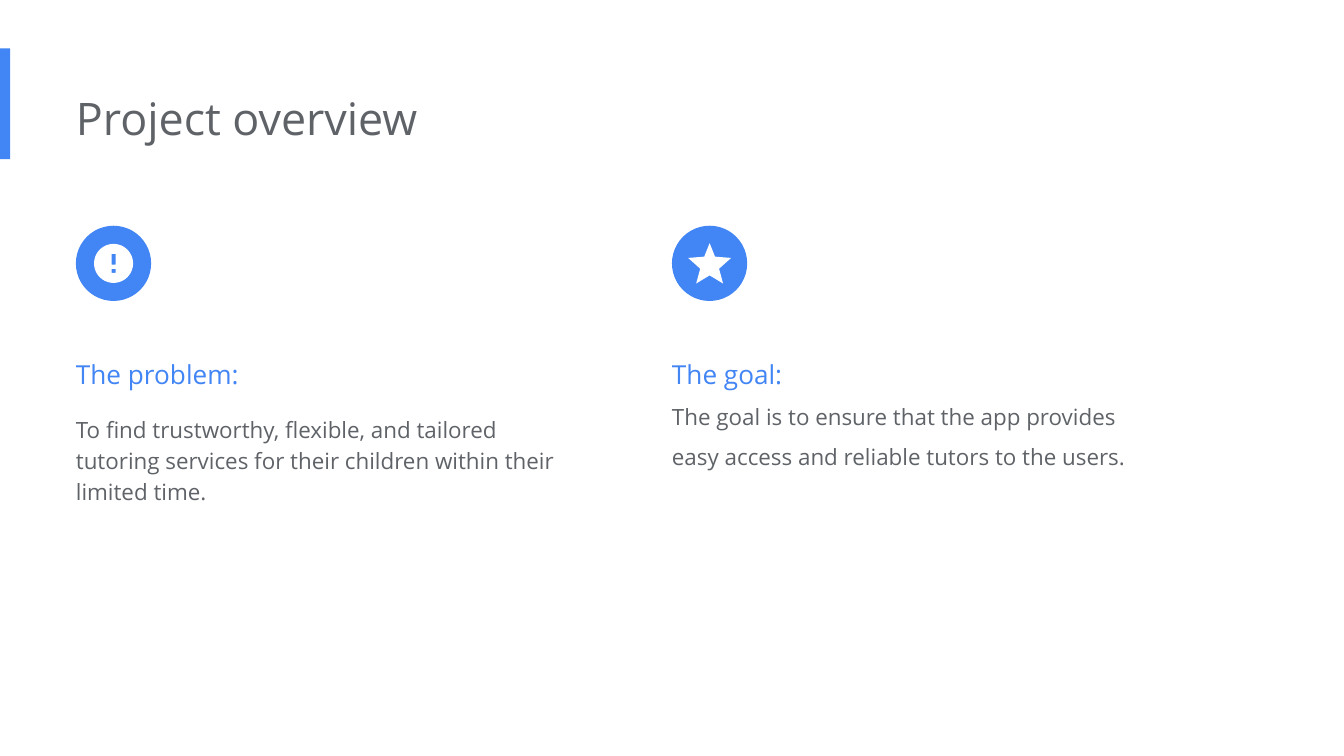
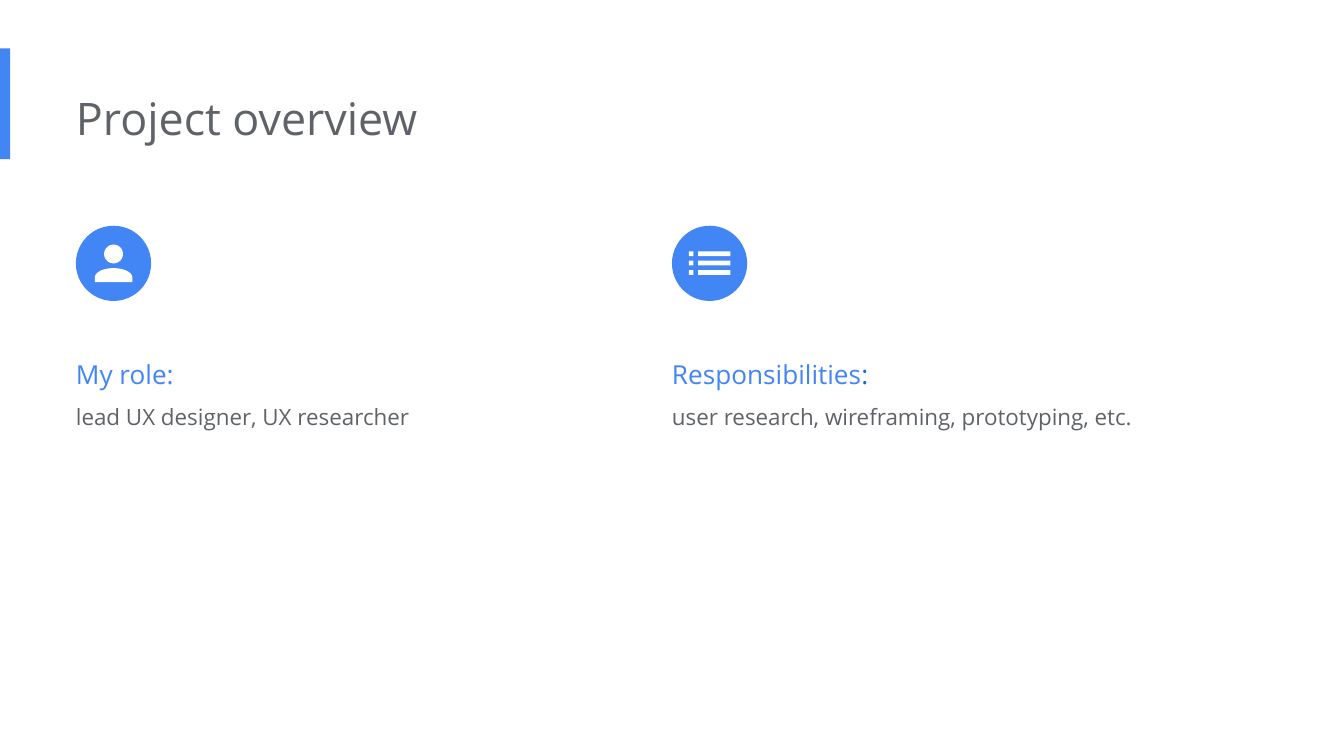
from math import cos, radians, sin

from pptx import Presentation
from pptx.dml.color import RGBColor as Rgb
from pptx.enum.shapes import MSO_SHAPE as Shape
from pptx.enum.text import MSO_ANCHOR as Anchor, MSO_AUTO_SIZE as Fit, PP_ALIGN as Align
from pptx.util import Pt

PX = 4572  # 200 px to the inch
FONT = "Open Sans"
HUES = {"blue": "4285F4", "deep": "1967D2", "grey": "5F6368", "white": "FFFFFF"}
LEFT, RIGHT = 113, 1000
TOP, BADGE = 336, 112


def arc(x, y, wide, high, start=0, end=360):
    """Points every five degrees along an ellipse with the given radii."""
    turns = [radians(a) for a in range(start, end + 1, 5)]
    return [(x + wide * cos(t), y + high * sin(t)) for t in turns]


def box(x1, y1, x2, y2):
    return [(x1, y1), (x2, y1), (x2, y2), (x1, y2)]


# Icon outlines, measured from the top left of their badge
ICONS = {
    "alert": [arc(56, 56, 29, 29), box(53, 42, 59, 58), box(53, 64, 59, 70)],
    "star": [[(56, 74), (76, 86), (70, 64), (88, 48), (64, 46),
              (56, 26), (48, 46), (24, 48), (42, 64), (36, 86)]],
    "person": [arc(56, 42, 14, 14), arc(56, 77, 28, 14, 180, 360) + [(84, 84), (28, 84)]],
    "list": [box(x1, y, x2, y + 7) for y in (38, 52, 66) for x1, x2 in ((25, 32), (39, 87))],
}

# Each column: left, height, icon, heading runs, body, line spacing, space before
SLIDES = [
    [(LEFT, 358, "alert", [("The problem:", "blue")],
      "To find trustworthy, flexible, and tailored tutoring services "
      "for their children within their limited time.", 1.15, 12),
     (RIGHT, 212, "star", [("The goal:", "blue")],
      "The goal is to ensure that the app provides easy access "
      "and reliable tutors to the users.", 1.5, 0)],
    [(LEFT, 152, "person", [("My role:", "blue")],
      "lead UX designer, UX researcher", 1.5, 0),
     (RIGHT, 152, "list", [("Responsibilities", "blue"), (":", "deep")],
      "user research, wireframing, prototyping, etc.", 1.5, 0)],
]

deck = Presentation()
deck.slide_width, deck.slide_height = 2000 * PX, 1125 * PX
layout = deck.slide_layouts[5]
band = None

for cols in SLIDES:
    slide = deck.slides.add_slide(layout)
    shapes = slide.shapes
    title = shapes.title
    title.left, title.top, title.width, title.height = [n * PX for n in (LEFT, 115, 1346, 122)]
    title.text_frame.text = "Project overview"
    texts = [(title.text_frame, [(24, ["grey"], 1, 0)])]
    fills = []

    # The blue band is drawn once and then lives on the shared layout
    if band is None:
        band = shapes.add_shape(Shape.RECTANGLE, 0, 72 * PX, 15 * PX, 165 * PX)
        layout.shapes.element.append(band.element)
        fills.append((band, "blue"))

    for left, high, icon, head, body, line, gap in cols:
        frame = shapes.add_textbox(left * PX, 490 * PX, 754 * PX, high * PX).text_frame
        for word, hue in head:
            frame.paragraphs[0].add_run().text = word
        frame.add_paragraph().text = body
        texts.append((frame, [(14, [hue for word, hue in head], 1.5, 0),
                              (12, ["grey"], line, gap)]))

        badge = shapes.add_shape(Shape.OVAL, left * PX, TOP * PX, BADGE * PX, BADGE * PX)
        fills.append((badge, "blue"))

        pen = None
        for path in ICONS[icon]:
            dots = [((left + x) * PX, (TOP + y) * PX) for x, y in path]
            if pen is None:
                pen = shapes.build_freeform(*dots[0], scale=1.0)
            else:
                pen.move_to(*dots[0])
            pen.add_line_segments(dots[1:], close=True)
        fills.append((pen.convert_to_shape(), "white"))

    for shape, hue in fills:
        shape.fill.solid()
        shape.fill.fore_color.rgb = Rgb.from_string(HUES[hue])
        shape.line.fill.background()
        shape.shadow.inherit = False

    for frame, styles in texts:
        frame.word_wrap = True
        frame.auto_size = Fit.SHAPE_TO_FIT_TEXT
        frame.vertical_anchor = Anchor.TOP
        frame.margin_left = 0
        frame.margin_top = frame.margin_right = frame.margin_bottom = 20 * PX
        for par, (size, hues, line, gap) in zip(frame.paragraphs, styles):
            par.alignment = Align.LEFT
            par.line_spacing = line
            par.space_before = Pt(gap)
            for run, hue in zip(par.runs, hues):
                run.font.name = FONT
                run.font.size = Pt(size)
                run.font.color.rgb = Rgb.from_string(HUES[hue])

deck.save("out.pptx")
